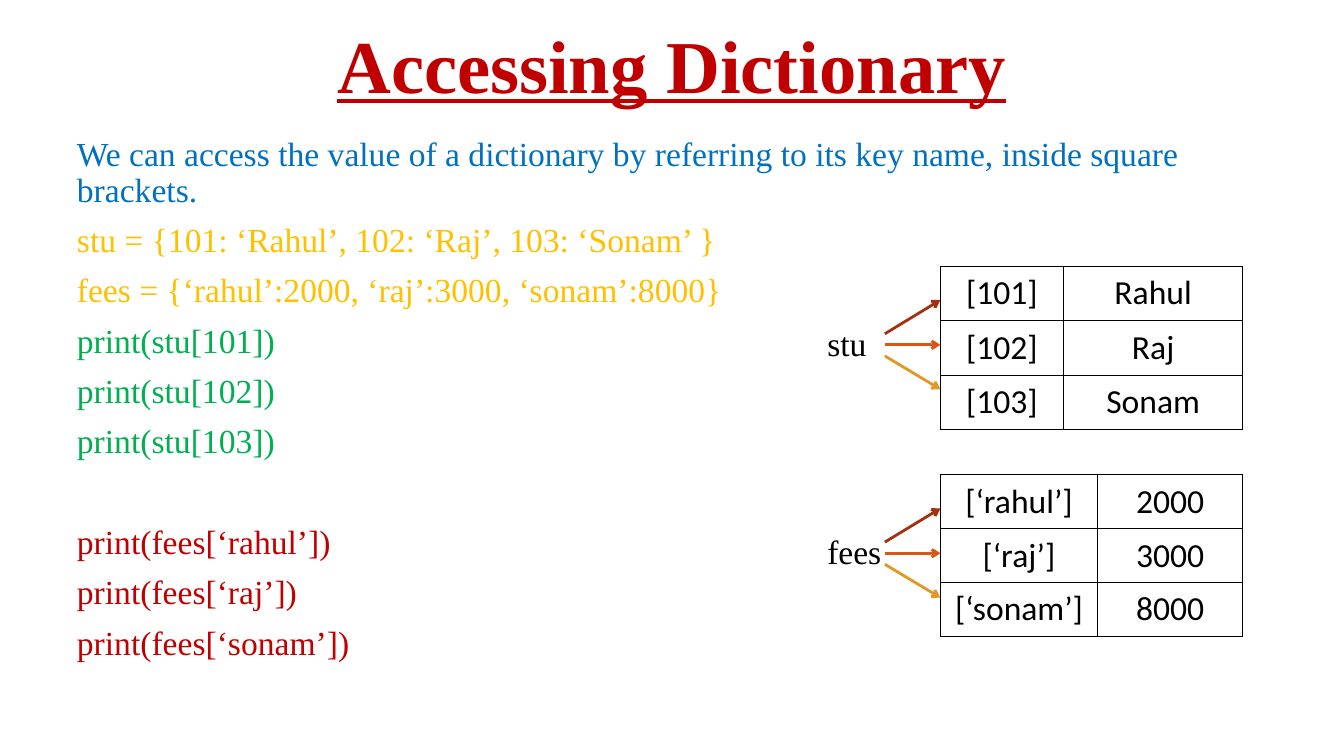
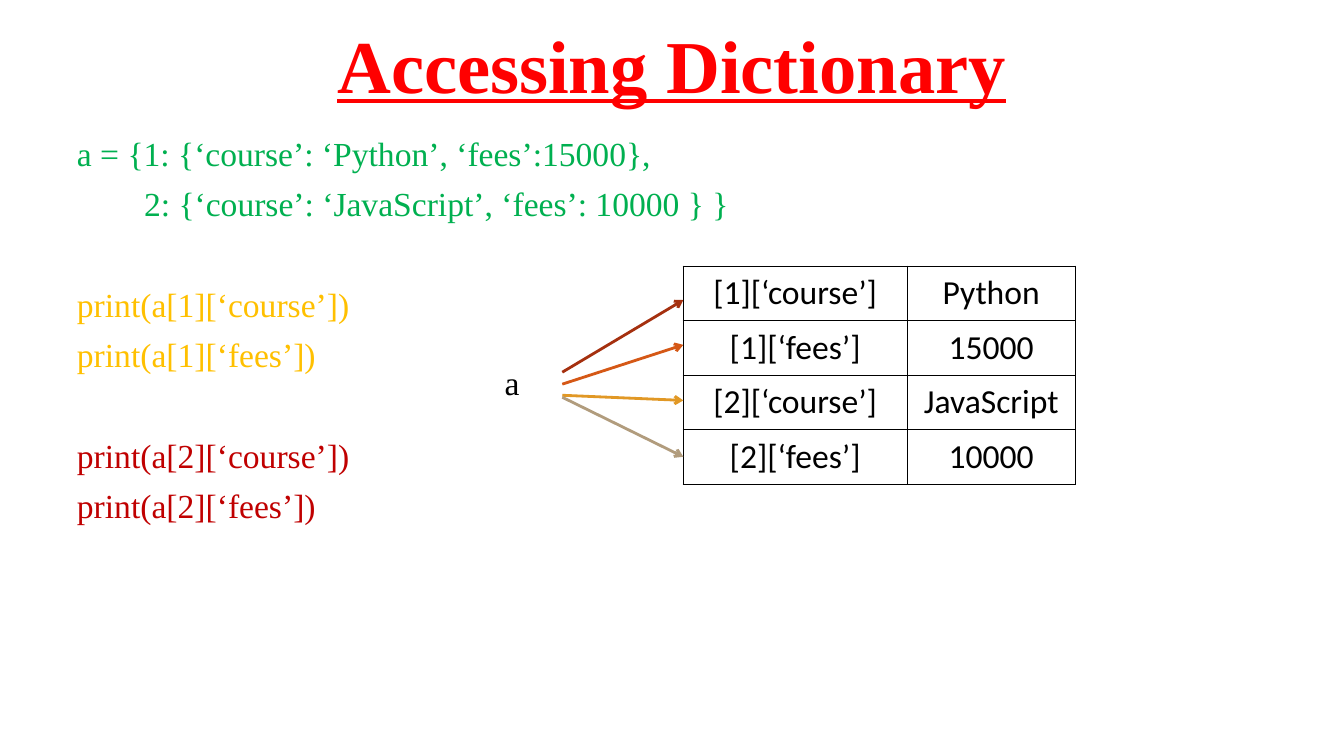
"""Build two slides about reading values from a dictionary."""
from lxml import etree
from pptx import Presentation
from pptx.dml.color import RGBColor
from pptx.enum.shapes import MSO_CONNECTOR
from pptx.enum.text import MSO_ANCHOR, MSO_AUTO_SIZE, PP_ALIGN
from pptx.oxml.ns import qn
from pptx.util import Cm, Pt

CENTER, LEFT = PP_ALIGN.CENTER, PP_ALIGN.LEFT
MIDDLE, TOP = MSO_ANCHOR.MIDDLE, MSO_ANCHOR.TOP
NO_FIT, GROW = MSO_AUTO_SIZE.NONE, MSO_AUTO_SIZE.SHAPE_TO_FIT_TEXT
STRAIGHT = MSO_CONNECTOR.STRAIGHT
TITLE_ONLY = 5

RED, BRIGHT_RED, BLUE = "C00000", "FF0000", "0070C0"
AMBER, GREEN, BLACK = "FFC000", "00B050", "000000"
ARROW_COLORS = ["A5300F", "D55816", "E19825", "B19C7D"]

TITLE_FONT = {"name": "Times New Roman", "size": Pt(53.3), "bold": True, "underline": True}
BODY_FONT = {"name": "Times New Roman", "size": Pt(24)}
CELL_FONT = {"name": "Calibri", "size": Pt(24), "bold": False}
TITLE_PARA = {"alignment": CENTER, "line_spacing": 0.9}
BODY_PARA = {"alignment": LEFT, "line_spacing": 0.9, "space_before": Pt(10)}
GROUP_PARA = {**BODY_PARA, "space_before": Pt(46)}
CELL_MARGINS = {"margin_left": Cm(0.34), "margin_right": Cm(0.34),
                "margin_top": Cm(0.17), "margin_bottom": Cm(0.17),
                "vertical_anchor": TOP}
PAGE_LEFT, PAGE_WIDTH, ROW_HEIGHT = 1.69, 30.48, 1.35


def color(code):
    """Turn a hex string into a colour."""
    return RGBColor.from_string(code)


def apply(target, values):
    """Set each named attribute of the target."""
    for name, value in values.items():
        setattr(target, name, value)


def add_text(para, text, font, code):
    """Add one formatted run to a paragraph."""
    span = para.add_run()
    span.text = text
    apply(span.font, font)
    span.font.color.rgb = color(code)


class SlideBuilder:
    """Holds the deck style and the current page."""

    def __init__(self):
        """Start a widescreen deck."""
        self.deck = Presentation()
        apply(self.deck, {"slide_width": Cm(33.87), "slide_height": Cm(19.05)})
        self.page = None

    def start_page(self, title, code):
        """Add a page and format its title."""
        self.page = self.deck.slides.add_slide(self.deck.slide_layouts[TITLE_ONLY])
        box = self.page.shapes.title
        apply(box, {"left": Cm(PAGE_LEFT), "top": Cm(0.15),
                    "width": Cm(PAGE_WIDTH), "height": Cm(3.18)})
        apply(box.text_frame, {"vertical_anchor": MIDDLE, "auto_size": NO_FIT,
                               "word_wrap": True})
        para = box.text_frame.paragraphs[0]
        apply(para, TITLE_PARA)
        add_text(para, title, TITLE_FONT, code)

    def add_body(self, groups):
        """Write coloured groups of (gap style, colour, lines)."""
        box = self.page.shapes.add_textbox(Cm(PAGE_LEFT), Cm(3.33), Cm(PAGE_WIDTH), Cm(13.82))
        frame = box.text_frame
        apply(frame, {"word_wrap": True, "auto_size": NO_FIT})
        para = frame.paragraphs[0]
        for first_style, code, lines in groups:
            for index, (text, indent) in enumerate(lines):
                if para.runs:
                    para = frame.add_paragraph()
                apply(para, BODY_PARA if index else first_style)
                if indent:
                    para._p.get_or_add_pPr().set("marL", str(Cm(indent)))
                add_text(para, text, BODY_FONT, code)

    def add_label(self, text, left, top, width):
        """Place a one-line label."""
        box = self.page.shapes.add_textbox(Cm(left), Cm(top), Cm(width), Cm(1.27))
        apply(box.text_frame, {"word_wrap": False, "auto_size": GROW})
        add_text(box.text_frame.paragraphs[0], text, BODY_FONT, BLACK)

    def add_arrow(self, start, end, code):
        """Draw an arrow between two points."""
        arrow = self.page.shapes.add_connector(STRAIGHT, *map(Cm, start + end))
        arrow.line.width = Pt(2)
        arrow.line.color.rgb = color(code)
        etree.SubElement(arrow.line._get_or_add_ln(), qn("a:tailEnd"), type="arrow")
        etree.SubElement(arrow._element.spPr, qn("a:effectLst"))

    def add_borders(self, cell):
        """Draw thin black lines around a cell."""
        properties = cell._tc.get_or_add_tcPr()
        for index, side in enumerate(("lnL", "lnR", "lnT", "lnB")):
            line = etree.Element(qn("a:" + side), w=str(Pt(1)))
            fill = etree.SubElement(line, qn("a:solidFill"))
            etree.SubElement(fill, qn("a:srgbClr"), val=BLACK)
            properties.insert(index, line)

    def add_grid(self, left, top, widths, rows):
        """Add a plain table with centred text."""
        frame = self.page.shapes.add_table(
            len(rows), len(widths), Cm(left), Cm(top),
            Cm(sum(widths)), Cm(ROW_HEIGHT * len(rows)))
        table = frame.table
        apply(table, {"first_row": False, "horz_banding": False})
        for column, width in zip(table.columns, widths):
            column.width = Cm(width)
        for row, texts in zip(table.rows, rows):
            row.height = Cm(ROW_HEIGHT)
            for cell, text in zip(row.cells, texts):
                apply(cell, CELL_MARGINS)
                cell.fill.background()
                para = cell.text_frame.paragraphs[0]
                para.alignment = CENTER
                add_text(para, text, CELL_FONT, BLACK)
                self.add_borders(cell)

    def add_lookup(self, label, label_box, tail, left, top, widths, rows, drops):
        """Link a variable name to its table; drops count from the table top."""
        self.add_grid(left, top, widths, rows)
        label_left, label_drop, label_width = label_box
        self.add_label(label, label_left, top + label_drop, label_width)
        for (start, end), code in zip(drops, ARROW_COLORS):
            self.add_arrow((tail, top + start), (left, top + end), code)


def plain(*lines):
    """Give lines without an indent."""
    return [(line, 0) for line in lines]


builder = SlideBuilder()

builder.start_page("Accessing Dictionary", RED)
builder.add_body([
    (BODY_PARA, BLUE, plain("We can access the value of a dictionary by referring to "
                            "its key name, inside square brackets.")),
    (BODY_PARA, AMBER, plain("stu = {101: ‘Rahul’, 102: ‘Raj’, 103: ‘Sonam’ }",
                             "fees = {‘rahul’:2000, ‘raj’:3000, ‘sonam’:8000}")),
    (BODY_PARA, GREEN, plain(*(f"print(stu[{key}])" for key in (101, 102, 103)))),
    (GROUP_PARA, RED, plain(*(f"print(fees[‘{key}’])" for key in ("rahul", "raj", "sonam")))),
])
three_drops = [(1.7, 0.85), (1.98, 1.98), (2.26, 3.1)]
builder.add_lookup("stu", (20.6, 1.29, 1.5), 22.3, 23.7, 6.71, [3.1, 4.52],
                   [("[101]", "Rahul"), ("[102]", "Raj"), ("[103]", "Sonam")], three_drops)
builder.add_lookup("fees", (20.6, 1.29, 1.88), 22.3, 23.7, 11.96, [3.96, 3.66],
                   [("[‘rahul’]", "2000"), ("[‘raj’]", "3000"), ("[‘sonam’]", "8000")],
                   three_drops)

builder.start_page("Accessing Dictionary", BRIGHT_RED)
builder.add_body([
    (BODY_PARA, GREEN, [("a = {1: {‘course’: ‘Python’, ‘fees’:15000},", 0),
                        ("2: {‘course’: ‘JavaScript’, ‘fees’: 10000 } }", 1.69)]),
    (GROUP_PARA, AMBER, plain("print(a[1][‘course’])", "print(a[1][‘fees’])")),
    (GROUP_PARA, RED, plain("print(a[2][‘course’])", "print(a[2][‘fees’])")),
])
builder.add_lookup("a", (12.47, 2.29, 0.89), 14.17, 17.22, 6.71, [5.64, 4.24],
                   [("[1][‘course’]", "Python"), ("[1][‘fees’]", "15000"),
                    ("[2][‘course’]", "JavaScript"), ("[2][‘fees’]", "10000")],
                   [(2.67, 0.85), (2.97, 1.98), (3.25, 3.38), (3.3, 4.8)])

builder.deck.save("out.pptx")
